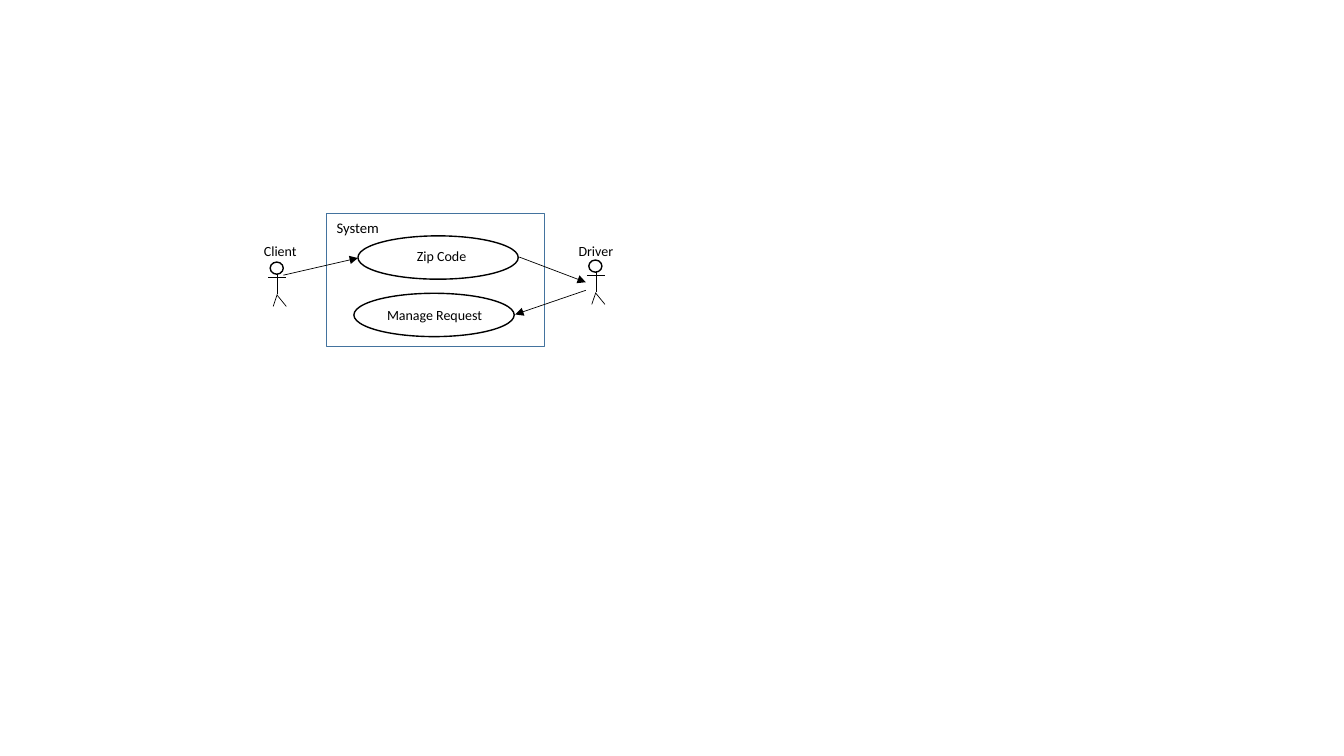
import pptx
import pptx.util
import pptx.dml.color
import pptx.enum.shapes
import pptx.enum.text
import pptx.oxml
import pptx.oxml.ns
from dataclasses import dataclass

Inches, Pt = pptx.util.Inches, pptx.util.Pt
RGB = pptx.dml.color.RGBColor.from_string
SHAPE = pptx.enum.shapes.MSO_SHAPE
ALIGN = pptx.enum.text.PP_ALIGN


@dataclass
class Theme:
    font: str = "Calibri"
    ink: str = "000000"
    paper: str = "FFFFFF"
    boundary: str = "43739E"
    system_size: float = 10.5
    label_size: float = 10
    thin: float = 0.5
    outline: float = 1


theme = Theme()


def draw_line(shapes, start, end, arrow=False):
    """Draw a thin line between two points, with an arrowhead at its end if asked."""
    line = shapes.add_connector(
        pptx.enum.shapes.MSO_CONNECTOR.STRAIGHT, *map(Inches, (*start, *end)))
    line.line.color.rgb = RGB(theme.ink)
    line.line.width = Pt(theme.thin)
    if arrow:
        head = pptx.oxml.parse_xml(
            f'<a:tailEnd {pptx.oxml.ns.nsdecls("a")} type="triangle"/>')
        line.line._get_or_add_ln().append(head)
    line._element.spPr.append(
        pptx.oxml.parse_xml(f'<a:effectLst {pptx.oxml.ns.nsdecls("a")}/>'))


def draw_outline(shapes, preset, box, colour=theme.ink):
    """Draw a white preset shape with a coloured outline."""
    shape = shapes.add_shape(preset, *map(Inches, box))
    shape.shadow.inherit = False
    shape.fill.solid()
    shape.fill.fore_color.rgb = RGB(theme.paper)
    shape.line.color.rgb = RGB(colour)
    shape.line.width = Pt(theme.outline)


deck = pptx.Presentation()
deck.slide_width, deck.slide_height = Inches(13.33), Inches(7.5)
slide = deck.slides.add_slide(deck.slide_layouts[6])

# Actors: limbs and head are offsets from the neck
limbs = [((0, 0), (0, 0.23)), ((0, 0.23), (-0.04, 0.35)),
         ((-0.09, 0.06), (0.09, 0.06)), ((0, 0.24), (0.09, 0.35))]
for neck_x, neck_y in [(2.75, 2.69), (5.91, 2.67)]:
    actor = slide.shapes.add_group_shape()
    for start, end in limbs:
        draw_line(actor.shapes, *[(neck_x + x, neck_y + y) for x, y in (start, end)])
    draw_outline(actor.shapes, SHAPE.OVAL, (neck_x - 0.07, neck_y - 0.09, 0.13, 0.12))

# System boundary and its use cases
draw_outline(slide.shapes, SHAPE.RECTANGLE, (3.24, 2.12, 2.16, 1.32), theme.boundary)
for left, top in [(3.55, 2.34), (3.51, 2.91)]:
    draw_outline(slide.shapes, SHAPE.OVAL, (left, top, 1.59, 0.43))

# Requests between actors and use cases
for start, end in [((2.81, 2.73), (3.55, 2.56)),
                   ((5.15, 2.55), (5.81, 2.8)),
                   ((5.81, 2.88), (5.11, 3.12))]:
    draw_line(slide.shapes, start, end, arrow=True)

# Labels
for wording, box, size, alignment in [
    ("System", (3.24, 2.12, 0.75, 0.29), theme.system_size, ALIGN.LEFT),
    ("Zip Code", (3.81, 2.41, 1.14, 0.27), theme.label_size, ALIGN.CENTER),
    ("Manage Request", (3.62, 2.99, 1.38, 0.27), theme.label_size, ALIGN.CENTER),
    ("Client", (2.21, 2.36, 1.14, 0.27), theme.label_size, ALIGN.CENTER),
    ("Driver", (5.34, 2.36, 1.14, 0.27), theme.label_size, ALIGN.CENTER),
]:
    frame = slide.shapes.add_textbox(*map(Inches, box)).text_frame
    frame.word_wrap = True
    frame.auto_size = pptx.enum.text.MSO_AUTO_SIZE.SHAPE_TO_FIT_TEXT
    label = frame.paragraphs[0]
    label.alignment = alignment
    run = label.add_run()
    run.text = wording
    run.font.color.rgb = RGB(theme.ink)
    for attribute, value in {"name": theme.font, "size": Pt(size)}.items():
        setattr(run.font, attribute, value)

deck.save("out.pptx")
